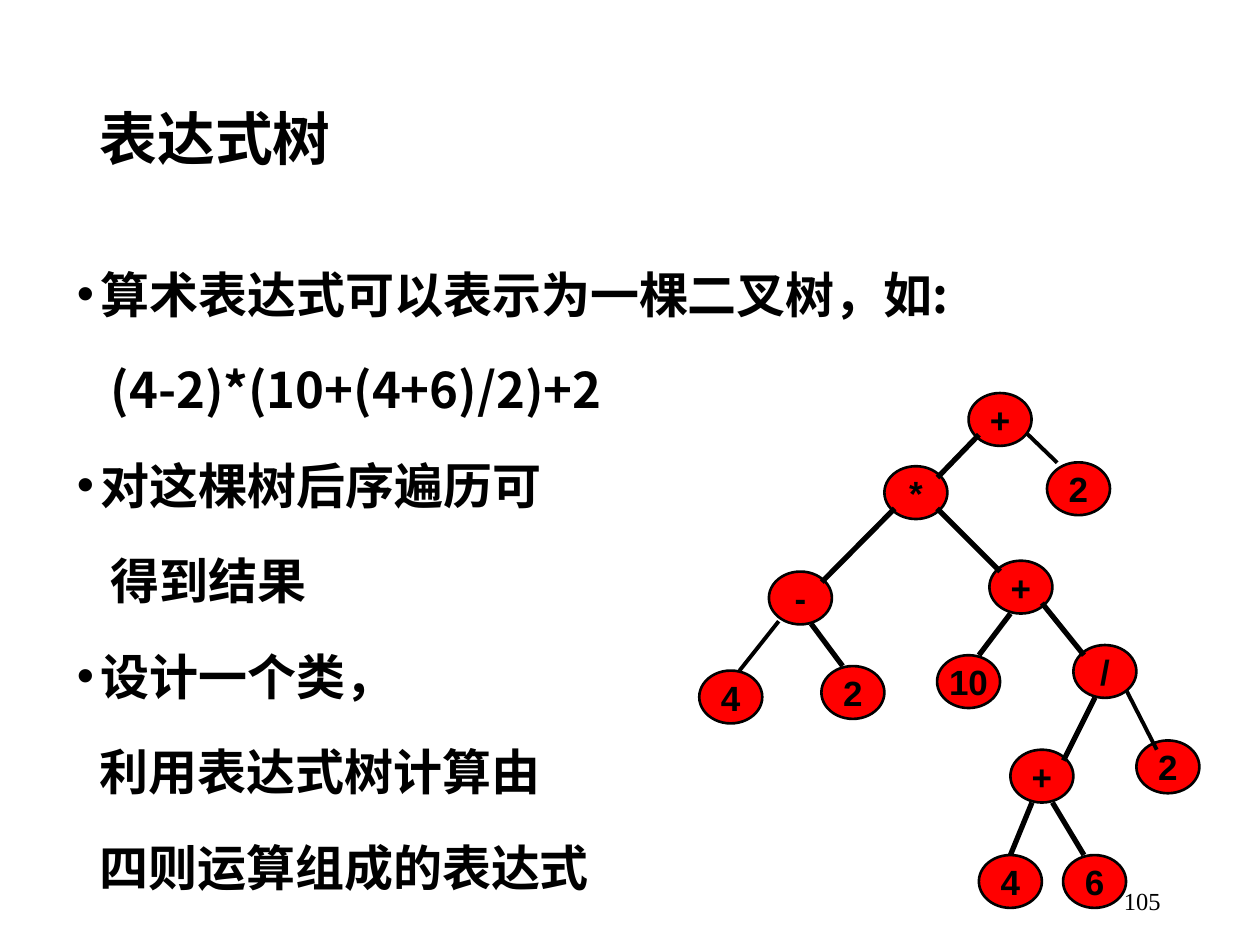
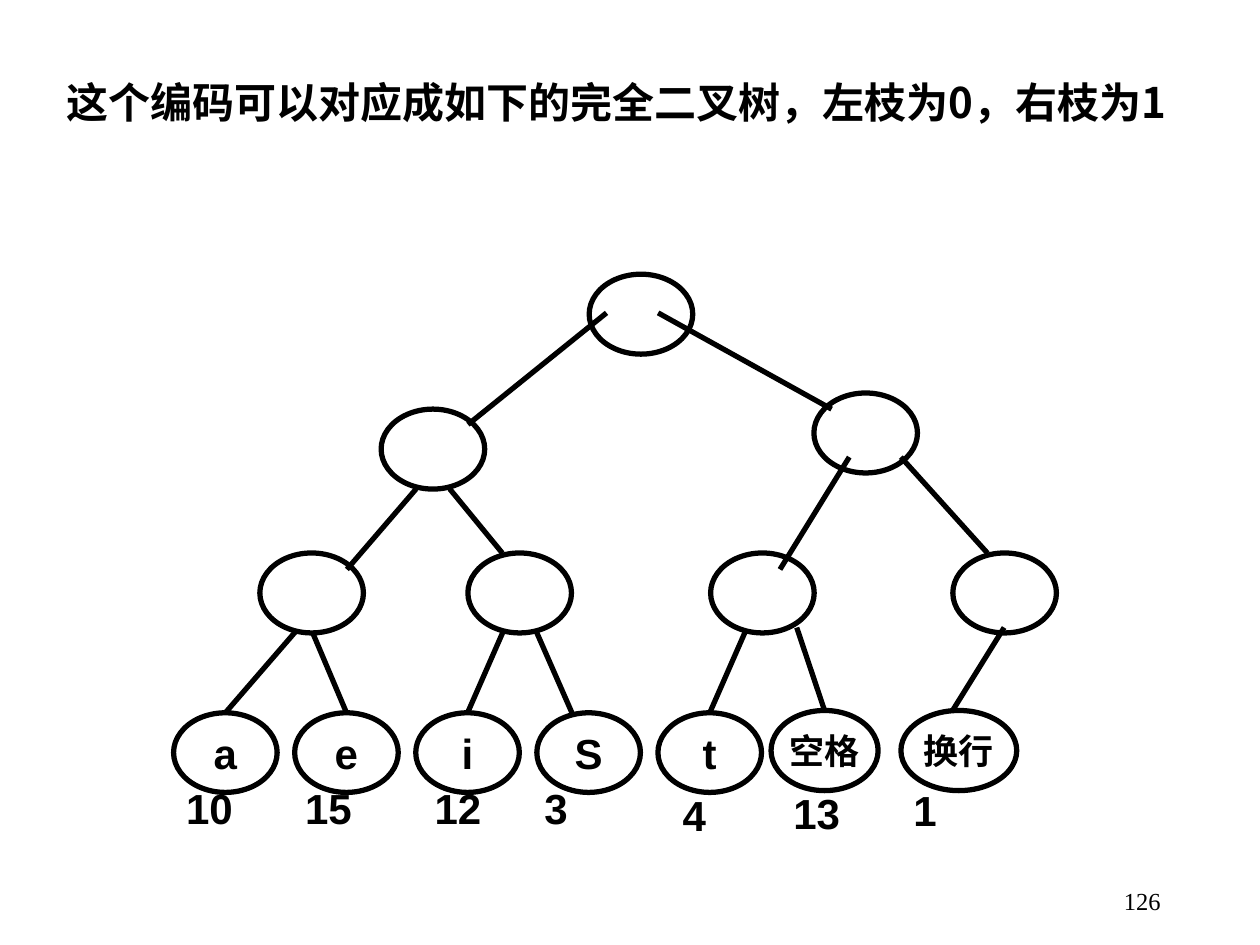
from lxml import etree
from pptx import Presentation
from pptx.dml.color import RGBColor
from pptx.enum.shapes import MSO_CONNECTOR, MSO_SHAPE
from pptx.enum.text import MSO_ANCHOR, MSO_AUTO_SIZE, PP_ALIGN
from pptx.oxml.ns import qn
from pptx.util import Pt

STRAIGHT = MSO_CONNECTOR.STRAIGHT
OVAL = MSO_SHAPE.OVAL
TOP, MIDDLE = MSO_ANCHOR.TOP, MSO_ANCHOR.MIDDLE
LEFT, CENTER, RIGHT = PP_ALIGN.LEFT, PP_ALIGN.CENTER, PP_ALIGN.RIGHT
NO_AUTOFIT = MSO_AUTO_SIZE.NONE

BLACK = "000000"
RED = "FF0000"
CHINESE = "Noto Sans CJK SC"
LATIN = "Arial"
SERIF = "Times New Roman"
TITLE_AND_BODY, TITLE_ONLY = 1, 5
TOP_SITE = 0

BULLET_LINES = [
    ("算术表达式可以表示为一棵二叉树，如:", None),
    ("(4-2)*(10+(4+6)/2)+2", 19.4),
    ("对这棵树后序遍历可", None),
    ("得到结果", 19.4),
    ("设计一个类，", None),
    ("利用表达式树计算由", 13),
    ("四则运算组成的表达式", 13),
]

EXPRESSION_NODES = [
    ("+", 553.5, 224.6), ("*", 505.4, 266.4), ("+", 565.4, 320.4),
    ("/", 613.4, 368.6), ("2", 469.4, 380.6), ("10", 535.5, 374.4),
    ("+", 577.4, 428.4), ("6", 607.5, 488.6), ("4", 559.4, 488.6),
    ("-", 439.4, 326.6), ("4", 399.6, 383.2), ("2", 598.3, 264.2),
    ("2", 649.4, 423.1),
]
THICK_BRANCHES = [
    (559.4, 248.4, 535.7, 272.9), (511.2, 290.6, 469.6, 332.6),
    (535.5, 290.6, 571.5, 326.6), (595.4, 344.6, 619.4, 374.4),
    (577.4, 350.6, 559.4, 374.4), (463.5, 356.4, 481.5, 380.6),
    (625.7, 398.6, 607.7, 434.6), (589.7, 458.6, 577.4, 488.6),
    (601.4, 458.6, 619.4, 488.6),
]
THIN_BRANCHES = [
    (445, 355, 422.6, 383.2), (586.8, 247.7, 604.1, 264.4),
    (643.7, 394.6, 661, 428.4),
]

INNER_NODES = [
    (336.7, 156.7), (217.8, 233.8), (465.1, 224.6),
    (148.5, 316), (267.4, 316), (406.1, 316), (544.5, 316),
]
CODE_BRANCHES = [
    (346.6, 178.8, 267.4, 242.6), (376.1, 178.8, 475.2, 233.8),
    (237.8, 279.4, 198.2, 325.4), (257, 279.4, 287.1, 316.1),
    (485.3, 261.2, 445.7, 325.4), (514.8, 261.2, 564.3, 316.1),
    (306.7, 361.4, 326.9, 407.5), (573.8, 358.6, 544.3, 406.1),
]
LEAF_BRANCH_STARTS = {
    "a": (168.5, 361.4), "e": (178.6, 361.4), "i": (287.3, 361.4),
    "t": (425.7, 361.4), "空格": (455.3, 358.6),
}
FREQUENCIES = [
    ("10", 99.2, 443.8), ("15", 167.3, 443.8), ("12", 241.2, 443.8),
    ("3", 304, 443.8), ("4", 383, 447.8), ("13", 446.2, 446.4),
    ("1", 514.8, 445),
]


def color(value):
    return RGBColor.from_string(value)


def place(shape, left, top, width, height):
    shape.left, shape.top = Pt(left), Pt(top)
    shape.width, shape.height = Pt(width), Pt(height)


def style(para, size, name, bold=True, align=LEFT):
    para.alignment = align
    font = para.font
    font.size, font.bold, font.name = Pt(size), bold, name
    font.color.rgb = color(BLACK)
    defaults = para._p.get_or_add_pPr().find(qn("a:defRPr"))
    etree.SubElement(defaults, qn("a:ea"), typeface=CHINESE)


def set_bullet(para, indent):
    properties = para._p.get_or_add_pPr()
    if indent is None:
        properties.set("marL", str(Pt(13.7)))
        properties.set("indent", str(-Pt(13.7)))
        etree.SubElement(properties, qn("a:buChar"), char="•")
    else:
        properties.set("marL", str(Pt(indent)))
        properties.set("indent", "0")
        etree.SubElement(properties, qn("a:buNone"))


def set_title(page, text, bounds, size, spacing, anchor):
    title = page.shapes.title
    place(title, *bounds)
    frame = title.text_frame
    frame.text = text
    frame.auto_size = NO_AUTOFIT
    frame.vertical_anchor = anchor
    para = frame.paragraphs[0]
    para.line_spacing = spacing
    style(para, size, CHINESE)


def set_body(page, lines):
    body = page.placeholders[1]
    place(body, 36.7, 134, 612, 383)
    frame = body.text_frame
    frame.auto_size = NO_AUTOFIT
    for index, (text, indent) in enumerate(lines):
        para = frame.add_paragraph() if index else frame.paragraphs[0]
        para.text = text
        para.line_spacing = 1.4
        para.space_before = Pt(7.5 if index else 0)
        set_bullet(para, indent)
        style(para, 28, CHINESE)


def add_label(page, text, bounds, size, name, bold=True, align=LEFT, anchor=TOP):
    box = page.shapes.add_textbox(*map(Pt, bounds))
    frame = box.text_frame
    frame.word_wrap = True
    frame.vertical_anchor = anchor
    frame.text = text
    style(frame.paragraphs[0], size, name, bold, align)


def add_page_number(page, number):
    add_label(page, number, (508.3, 500.4, 162, 28.8), 14, SERIF, False, RIGHT, MIDDLE)


def add_node(page, bounds, text="", size=20, fill=None, weight=3, side_inset=7.2):
    node = page.shapes.add_shape(OVAL, *map(Pt, bounds))
    node.shadow.inherit = False
    node.line.color.rgb = color(BLACK)
    node.line.width = Pt(weight)
    if fill:
        node.fill.solid()
        node.fill.fore_color.rgb = color(fill)
    else:
        node.fill.background()
    if text:
        frame = node.text_frame
        frame.word_wrap = False
        frame.vertical_anchor = MIDDLE
        frame.margin_left = frame.margin_right = Pt(side_inset)
        frame.text = text
        style(frame.paragraphs[0], size, LATIN, align=CENTER)
    return node


def add_branch(page, ends, weight=3):
    branch = page.shapes.add_connector(STRAIGHT, *map(Pt, ends))
    branch.line.color.rgb = color(BLACK)
    branch.line.width = Pt(weight)
    etree.SubElement(branch._element.spPr, qn("a:effectLst"))
    return branch


def build_expression_tree(page):
    set_title(page, "表达式树", (49.7, 28.8, 621.4, 104.4), 33, 0.9, MIDDLE)
    set_body(page, BULLET_LINES)
    add_page_number(page, "105")
    for text, left, top in EXPRESSION_NODES:
        add_node(page, (left, top, 36, 30.2), text, fill=RED, weight=1.5)
    for ends in THICK_BRANCHES:
        add_branch(page, ends)
    for ends in THIN_BRANCHES:
        add_branch(page, ends, 2.25)


def build_code_tree(page):
    heading = "这个编码可以对应成如下的完全二叉树，左枝为0，右枝为1"
    set_title(page, heading, (31, 37.4, 669, 51), 24, 1.1, TOP)
    add_page_number(page, "126")
    for left, top in INNER_NODES:
        add_node(page, (left, top, 59.2, 45.7))
    leaves = {}
    for index, letter in enumerate("aeiSt"):
        bounds = (99.2 + 69.2 * index, 407.3, 59.2, 45.5)
        leaves[letter] = add_node(page, bounds, letter, 24)
    for text, left, width in (("空格", 440.6, 61.2), ("换行", 514.8, 66.2)):
        leaves[text] = add_node(page, (left, 406, width, 45.8), text, side_inset=0)
    for ends in CODE_BRANCHES:
        add_branch(page, ends)
    for text, start in LEAF_BRANCH_STARTS.items():
        add_branch(page, (*start, *start)).end_connect(leaves[text], TOP_SITE)
    for text, left, top in FREQUENCIES:
        add_label(page, text, (left, top, 63, 38.9), 24, LATIN)


def main():
    deck = Presentation()
    deck.slide_width, deck.slide_height = Pt(720), Pt(540)
    layouts = deck.slide_layouts
    build_expression_tree(deck.slides.add_slide(layouts[TITLE_AND_BODY]))
    build_code_tree(deck.slides.add_slide(layouts[TITLE_ONLY]))
    deck.save("out.pptx")


if __name__ == "__main__":
    main()
